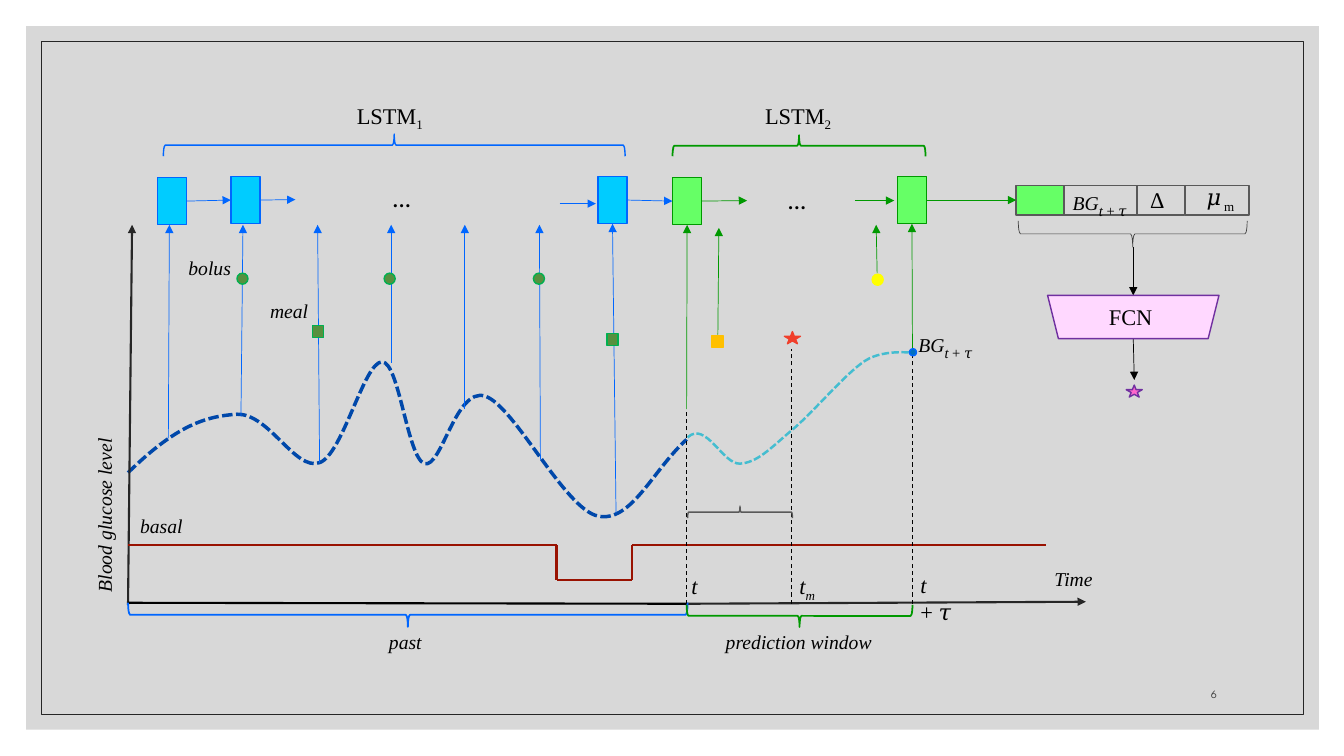
from dataclasses import dataclass
from itertools import pairwise
from typing import NamedTuple, Optional

from pptx import Presentation
from pptx.dml.color import RGBColor
from pptx.enum.dml import MSO_LINE as Dash
from pptx.enum.shapes import MSO_CONNECTOR, MSO_SHAPE as Geo
from pptx.enum.text import MSO_ANCHOR, MSO_AUTO_SIZE, PP_ALIGN
from pptx.oxml.ns import qn
from pptx.util import Inches, Pt
from lxml.etree import Element, SubElement


@dataclass(frozen=True)
class Theme:
    """Colours, fonts and type sizes of the slide."""
    black: str = "000000"
    panel: str = "BFBFBF"
    axis: str = "262626"
    blue: str = "0066FF"
    cyan: str = "00CCFF"
    green: str = "009900"
    lime: str = "66FF66"
    navy: str = "0048AA"
    teal: str = "44BDD0"
    basal: str = "991201"
    moss: str = "57903F"
    moss_line: str = "00B050"
    amber: str = "FFC000"
    yellow: str = "FFFF00"
    red: str = "F03F2B"
    pink: str = "FF66CC"
    pale_pink: str = "FFD8FF"
    purple: str = "7030A0"
    dot: str = "0070C0"
    gray: str = "595959"
    dark: str = "404040"
    serif: str = "Times New Roman"
    sans: str = "League Spartan"
    tiny: int = 8
    small: int = 14
    body: int = 16
    large: int = 18


T = Theme()


class Box(NamedTuple):
    """A preset shape; lengths in inches, line width in points."""
    left: float
    top: float
    width: float
    height: float
    fill: Optional[str] = None
    line: Optional[str] = None
    weight: float = 1
    geo: Geo = Geo.RECTANGLE
    rot: int = 0


class Link(NamedTuple):
    """A straight line, with the cells and sides it may be joined to."""
    x1: float
    y1: float
    x2: float
    y2: float
    color: str = T.blue
    weight: float = 0.5
    arrow: bool = True
    dash: Optional[Dash] = None
    begin: Optional[tuple[str, int]] = None
    end: Optional[tuple[str, int]] = None


class Run(NamedTuple):
    """A stretch of text with one format."""
    text: str
    size: int = T.small
    italic: bool = True
    sub: bool = False
    font: str = T.serif
    color: str = T.black


class Label(NamedTuple):
    """A text box."""
    left: float
    top: float
    width: float
    height: float
    runs: list[Run]
    wrap: bool = True
    rot: int = 0


def style_line(line, color: Optional[str], weight: float, dash: Optional[Dash] = None) -> None:
    """Colour an outline, or remove it."""
    if color is None:
        line.fill.background()
        return
    line.color.rgb = RGBColor.from_string(color)
    line.width = Pt(weight)
    if dash is not None:
        line.dash_style = dash


def add_box(shapes, b: Box):
    """Draw a preset shape."""
    sp = shapes.add_shape(b.geo, *map(Inches, b[:4]))
    sp.shadow.inherit = False
    sp.rotation = b.rot
    if b.fill:
        sp.fill.solid()
        sp.fill.fore_color.rgb = RGBColor.from_string(b.fill)
    else:
        sp.fill.background()
    style_line(sp.line, b.line, b.weight)
    return sp


def brace(left: float, top: float, width: float, height: float, color: str,
          weight: float, rot: int, geo: Geo = Geo.RIGHT_BRACE) -> Box:
    """Describe a horizontal brace by the frame it fills once turned."""
    shift = (width - height) / 2
    return Box(left + shift, top - shift, height, width, None, color, weight, geo, rot)


def add_link(shapes, k: Link, cells: dict) -> None:
    """Draw a line or arrow and join it to its cells."""
    c = shapes.add_connector(MSO_CONNECTOR.STRAIGHT, *map(Inches, k[:4]))
    style_line(c.line, k.color, k.weight, k.dash)
    if k.begin:
        c.begin_connect(cells[k.begin[0]], k.begin[1])
    if k.end:
        c.end_connect(cells[k.end[0]], k.end[1])
    pr = c.element.spPr
    if k.arrow:
        SubElement(pr.get_or_add_ln(), qn("a:tailEnd"), type="triangle")
    SubElement(pr, qn("a:effectLst"))


def add_curve(shapes, start: tuple, arcs: list[tuple], color: str, weight: float) -> None:
    """Draw a dashed chain of cubic arcs, each given by two controls and an end."""
    fb = shapes.build_freeform(*map(Inches, start))
    fb.add_line_segments([tuple(map(Inches, arc[-1])) for arc in arcs], close=False)
    sp = fb.convert_to_shape()
    for seg, arc in zip(list(sp.element.iter(qn("a:lnTo"))), arcs):
        bez = Element(qn("a:cubicBezTo"))
        for x, y in arc:
            SubElement(bez, qn("a:pt"), x=str(Inches(x) - sp.left), y=str(Inches(y) - sp.top))
        seg.getparent().replace(seg, bez)
    sp.shadow.inherit = False
    sp.fill.background()
    style_line(sp.line, color, weight, Dash.SQUARE_DOT)


def add_label(shapes, lb: Label):
    """Draw a text box."""
    tb = shapes.add_textbox(*map(Inches, lb[:4]))
    tb.rotation = lb.rot
    tf = tb.text_frame
    tf.word_wrap = lb.wrap
    tf.auto_size = MSO_AUTO_SIZE.SHAPE_TO_FIT_TEXT
    p = tf.paragraphs[0]
    for run in lb.runs:
        if run.text == "\n":
            p.add_line_break()
            continue
        r = p.add_run()
        r.text = run.text
        for key, val in {"size": Pt(run.size), "italic": run.italic, "name": run.font}.items():
            setattr(r.font, key, val)
        r.font.color.rgb = RGBColor.from_string(run.color)
        if run.sub:
            r._r.get_or_add_rPr().set("baseline", "-25000")
    return tb


CELLS = {name: Box(x, y, 0.29, 0.47, fill, line) for name, x, y, fill, line in [
    ("past1", 1.56, 1.76, T.cyan, T.blue), ("past2", 2.29, 1.75, T.cyan, T.blue),
    ("past3", 5.93, 1.75, T.cyan, T.blue), ("next1", 6.67, 1.76, T.lime, T.green),
    ("next2", 8.9, 1.75, T.lime, T.green)]}
CELLS |= {name: Box(x, 1.84, w, 0.29, fill, T.gray, 1.25) for name, x, w, fill in [
    ("state", 10.08, 0.47, T.lime), ("glucose", 10.55, 0.73, None),
    ("delta", 11.28, 0.47, None), ("mean", 11.75, 0.64, None)]}

BASAL = [(1.27, 5.41), (5.52, 5.41), (5.52, 5.75), (6.27, 5.75), (6.27, 5.41), (10.37, 5.41)]
SAMPLES = [(1.67, 4.35, 1.68), (2.39, 4.13, 2.41), (3.17, 4.59, 3.15), (3.88, 3.6, 3.88),
           (4.61, 4.06, 4.61), (5.36, 4.56, 5.35)]
LINKS = [
    Link(6.81, 5.99, 10.77, 5.97, T.axis, 1.5), Link(1.27, 6, 1.31, 2.23, T.axis, 1.5),
    Link(6.81, 5.99, 1.27, 5.98, T.black, 1.5, False),
    *(Link(*a, *b, T.basal, 1.5, False) for a, b in pairwise(BASAL)),
    *(Link(x1, y1, x2, 2.23) for x1, y1, x2 in SAMPLES),
    Link(6.11, 5.09, 6.08, 2.23, end=("past3", 2)),
    Link(1.85, 1.99, 2.29, 1.98, begin=("past1", 3), end=("past2", 1)),
    Link(2.58, 1.98, 2.93, 1.98, begin=("past2", 3)), Link(5.55, 2.02, 5.91, 2.02),
    Link(6.22, 1.98, 6.67, 1.99, begin=("past3", 3), end=("next1", 1)),
    Link(6.96, 1.99, 7.41, 1.99, T.green, begin=("next1", 3)),
    Link(8.48, 1.99, 8.87, 1.99, T.green),
    Link(9.18, 1.98, 10.08, 1.98, T.green, begin=("next2", 3), end=("state", 1)),
    Link(6.81, 4.06, 6.81, 2.23, T.green, end=("next1", 2)),
    Link(9.05, 3.52, 9.05, 2.23, T.green, end=("next2", 2)),
    Link(7.12, 3.32, 7.13, 2.26, T.green), Link(8.7, 2.71, 8.69, 2.23, T.green),
    Link(11.24, 2.45, 11.24, 2.93, T.black), Link(11.24, 3.36, 11.25, 3.77, T.black),
    *(Link(x, 5.99, x, y, T.black, 0.75, False, Dash.DASH)
      for x, y in [(6.81, 4.06), (7.85, 3.46), (9.05, 3.52)])]
BOXES = [
    brace(1.27, 5.98, 5.55, 0.24, T.blue, 1.25, 90), brace(6.81, 6, 2.24, 0.22, T.green, 1.25, 90),
    brace(1.62, 1.33, 4.58, 0.22, T.blue, 1, 270), brace(6.67, 1.34, 2.51, 0.21, T.green, 1.25, 270),
    brace(6.82, 5.02, 1.04, 0.12, T.gray, 1, 270),
    brace(10.1, 2.19, 2.27, 0.26, T.dark, 0.5, 270, Geo.LEFT_BRACE),
    *(Box(x, 2.71, 0.11, 0.11, T.moss, T.moss_line, geo=Geo.OVAL) for x in (2.35, 3.81, 5.29)),
    *(Box(x, y, 0.11, 0.12, T.moss, T.moss_line) for x, y in [(3.1, 3.23), (6.02, 3.31)]),
    Box(7.06, 3.33, 0.11, 0.12, T.amber, T.amber),
    Box(8.65, 2.72, 0.11, 0.11, T.yellow, T.yellow, geo=Geo.OVAL),
    Box(9.02, 3.46, 0.07, 0.07, T.dot, T.blue, geo=Geo.OVAL),
    Box(7.78, 3.29, 0.16, 0.12, T.red, T.red, geo=Geo.STAR_5_POINT),
    Box(11.17, 3.82, 0.16, 0.12, T.pink, T.purple, geo=Geo.STAR_5_POINT),
    Box(10.39, 2.93, 1.7, 0.43, T.pale_pink, T.purple, geo=Geo.TRAPEZOID, rot=180)]
FUTURE_BG = [Run("BG"), Run("t ", T.large, sub=True), Run("+ 𝜏", T.large, False, True)]
LABELS = [
    *(Label(x, y, w, 0.34, [Run(text)], wrap) for text, x, y, w, wrap in [
        ("bolus", 1.77, 2.49, 1.05, True), ("meal", 2.58, 2.92, 0.95, True),
        ("basal", 1.29, 5.05, 0.95, True), ("past", 3.76, 6.2, 0.73, True),
        ("prediction window", 7.1, 6.2, 1.66, False), ("Time", 10.36, 5.58, 0.73, True)]),
    Label(-0.07, 4.7, 2.21, 0.34, [Run("Blood glucose level")], rot=270),
    *(Label(x, 0.96, w, 0.37, [Run("LSTM", T.body, False), Run(n, T.body, False, True)])
      for n, x, w in [("1", 3.44, 0.99), ("2", 7.49, 0.91)]),
    *(Label(x, y, 0.77, 0.34, FUTURE_BG, False) for x, y in [(10.54, 1.79), (9.01, 3.2)]),
    *(Label(x, y, 0.45, 0.4, [Run("…", T.large, False, font=T.sans)], False)
      for x, y in [(3.79, 1.76), (7.71, 1.78)]),
    Label(6.76, 5.63, 0.27, 0.37, [Run("t", T.body)], False),
    Label(7.83, 5.63, 0.37, 0.37, [Run("t", T.body), Run("m", T.body, sub=True)], False),
    Label(9.03, 5.62, 0.61, 0.37, [Run("t", T.body), Run("\n"), Run("+ 𝜏", T.body, False)]),
    Label(10.9, 2.96, 0.64, 0.37, [Run("FCN", T.body, False)]),
    Label(11.31, 1.8, 0.35, 0.37, [Run("Δ", T.body, False)], False),
    Label(11.87, 1.77, 0.5, 0.37, [Run("𝜇", T.body, False), Run("m", T.body, False, True)])]


def main() -> None:
    """Build the slide and save it."""
    prs = Presentation()
    prs.slide_width, prs.slide_height = Inches(13.33), Inches(7.5)
    shapes = prs.slides.add_slide(prs.slide_layouts[6]).shapes
    panel = add_box(shapes, Box(0.26, 0.26, 12.82, 6.98, T.panel))
    SubElement(panel.element.spPr.find(qn("a:solidFill"))[0], qn("a:alpha"), val="60000")
    add_box(shapes, Box(0.41, 0.41, 12.52, 6.68, None, T.axis, 0.5))
    add_curve(shapes, (1.27, 4.69), [
        ((1.75, 4.22), (2.04, 4.13), (2.35, 4.11)), ((2.67, 4.1), (2.93, 4.68), (3.17, 4.59)),
        ((3.4, 4.51), (3.61, 3.59), (3.79, 3.59)), ((3.96, 3.59), (4.04, 4.54), (4.21, 4.6)),
        ((4.38, 4.65), (4.52, 3.84), (4.81, 3.93)), ((5.1, 4.02), (5.6, 5.05), (5.93, 5.12)),
        ((6.26, 5.19), (6.47, 4.67), (6.81, 4.36))], T.navy, 2.5)
    add_curve(shapes, (6.82, 4.34), [
        ((7, 4.17), (7.17, 4.61), (7.34, 4.6)), ((7.51, 4.59), (7.64, 4.45), (7.84, 4.28)),
        ((8.05, 4.11), (8.38, 3.71), (8.58, 3.58)), ((8.78, 3.45), (9.11, 3.51), (9.05, 3.5))],
        T.teal, 1.75)
    cells = {name: add_box(shapes, b) for name, b in CELLS.items()}
    for k in LINKS:
        add_link(shapes, k, cells)
    for b in BOXES:
        add_box(shapes, b)
    for lb in LABELS:
        add_label(shapes, lb)
    number = Label(11.25, 6.6, 0.92, 0.4, [Run("6", T.tiny, False, font=T.sans, color=T.dark)])
    tf = add_label(shapes, number).text_frame
    for key, val in {"auto_size": MSO_AUTO_SIZE.NONE, "vertical_anchor": MSO_ANCHOR.BOTTOM}.items():
        setattr(tf, key, val)
    tf.paragraphs[0].alignment = PP_ALIGN.RIGHT
    prs.save("out.pptx")


if __name__ == "__main__":
    main()
